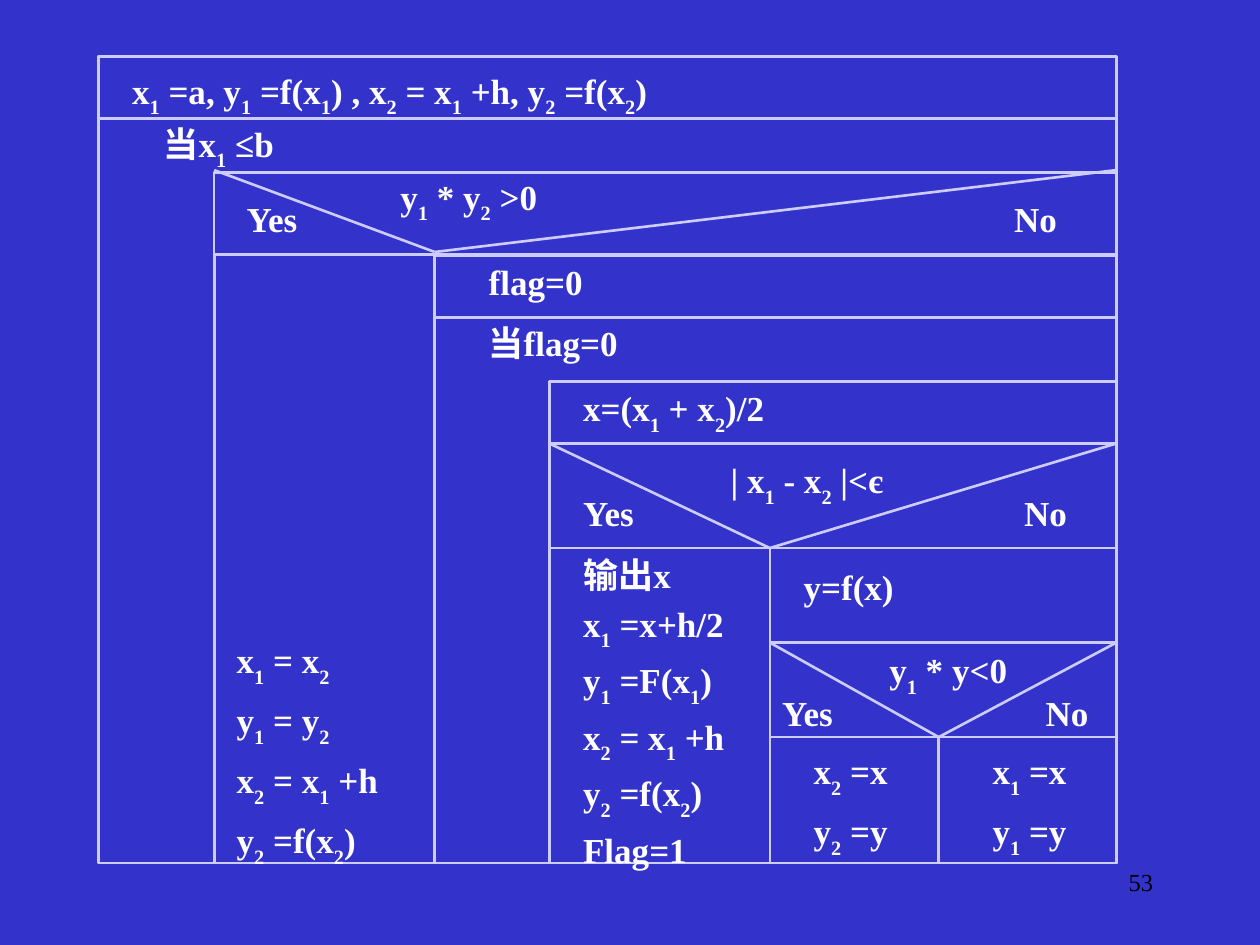
from collections import namedtuple

from lxml.etree import SubElement
from pptx import Presentation
from pptx.dml.color import RGBColor
from pptx.enum.shapes import MSO_CONNECTOR, MSO_SHAPE
from pptx.enum.text import MSO_AUTO_SIZE, PP_ALIGN
from pptx.oxml.ns import qn
from pptx.util import Inches, Pt

COLORS = {"background": "3333CC", "line": "CCCCFF", "text": "FFFFFF", "number": "000000"}
FONT = "Times New Roman"
LINE_WIDTH = Pt(1.5)
LABEL_HEIGHT = 0.43

Box = namedtuple("Box", "left top width height")


def color(name):
    return RGBColor.from_string(COLORS[name])


def add_frame(slide, box):
    shape = slide.shapes.add_shape(MSO_SHAPE.RECTANGLE, *map(Inches, box))
    shape.shadow.inherit = False
    shape.fill.background()
    shape.line.color.rgb = color("line")
    shape.line.width = LINE_WIDTH


def add_line(slide, start, end):
    line = slide.shapes.add_connector(MSO_CONNECTOR.STRAIGHT, *map(Inches, start + end))
    line.line.color.rgb = color("line")
    line.line.width = LINE_WIDTH
    SubElement(line._element.spPr, qn("a:effectLst"))


def add_runs(paragraph, text):
    """Write text in which an underscore makes the next character a subscript."""
    first, *rest = text.split("_")
    pieces = [(first, False)]
    for part in rest:
        pieces += [(part[0], True), (part[1:], False)]
    for piece, lowered in pieces:
        if piece:
            run = paragraph.add_run()
            run.text = piece
            if lowered:
                run._r.get_or_add_rPr().set("baseline", "-30000")


def add_text(slide, box, lines, gap=0):
    """Place lines of white bold text, with gap points between them."""
    frame = slide.shapes.add_textbox(*map(Inches, box)).text_frame
    frame.word_wrap = True
    frame.auto_size = MSO_AUTO_SIZE.SHAPE_TO_FIT_TEXT
    for index, text in enumerate(lines):
        paragraph = frame.add_paragraph() if index else frame.paragraphs[0]
        add_runs(paragraph, text)
        if index:
            paragraph.space_before = Pt(gap)
        paragraph.font.name = FONT
        paragraph.font.size = Pt(20)
        paragraph.font.bold = True
        paragraph.font.color.rgb = color("text")


def add_label(slide, box, dx, dy, width, text):
    add_text(slide, Box(box.left + dx, box.top + dy, width, LABEL_HEIGHT), [text])


def add_fork(slide, box, split):
    """Draw the two slanted lines that meet on the bottom edge at split."""
    right = box.left + box.width
    meeting = (box.left + split, box.top + box.height)
    add_line(slide, (box.left, box.top), meeting)
    add_line(slide, meeting, (right, box.top))


def add_outer_loop(slide, box):
    add_frame(slide, box)
    add_frame(slide, box._replace(height=0.49))
    add_label(slide, box, 0.17, 0.05, 4.58,
              "x_1 =a, y_1 =f(x_1) , x_2 = x_1 +h, y_2 =f(x_2)")
    add_label(slide, box, 0.42, 0.47, 2.53, "当x_1 ≤b")


def add_sign_test(slide, box, split, bottom):
    """Draw the first test and the column of its Yes branch down to bottom."""
    add_frame(slide, box)
    add_fork(slide, box._replace(top=box.top - 0.02), split)
    add_label(slide, box, 1.38, -0.03, 1.92, "y_1 * y_2 >0")
    add_label(slide, box, 0.16, 0.15, 0.83, "Yes")
    add_label(slide, box, 6.25, 0.15, 0.92, "No")
    top = box.top + box.height
    add_frame(slide, Box(box.left, top, split, bottom - top))
    add_text(slide, Box(box.left + 0.08, top + 3, 1.58, 1.74),
             ["x_1 = x_2", "y_1 = y_2", "x_2 = x_1 +h", "y_2 =f(x_2)"], gap=6)


def add_flag_loop(slide, box):
    add_frame(slide, box._replace(height=0.49))
    add_frame(slide, box._replace(top=box.top + 0.49, height=box.height - 0.49))
    add_label(slide, box, 0.33, -0.01, 1.92, "flag=0")
    add_label(slide, box, 0.33, 0.47, 1.58, "当flag=0")


def add_bisection(slide, box, split):
    """Draw the midpoint step, the accuracy test and its Yes branch."""
    step = box._replace(height=0.49)
    test = box._replace(top=box.top + 0.49, height=0.83)
    branch_top = test.top + test.height
    right, bottom = box.left + box.width, box.top + box.height
    add_frame(slide, step)
    add_label(slide, step, 0.17, -0.01, 2.53, "x=(x_1 + x_2)/2")
    add_frame(slide, box._replace(top=test.top, height=box.height - 0.49))
    add_fork(slide, test, split)
    add_label(slide, test, 1.34, 0.07, 1.58, "| x_1 - x_2 |<є")
    add_label(slide, test, 0.17, 0.33, 1, "Yes")
    add_label(slide, test, 3.67, 0.33, 0.83, "No")
    add_line(slide, (box.left, branch_top), (right, branch_top))
    add_line(slide, (box.left + split, branch_top), (box.left + split, bottom))
    add_text(slide, Box(box.left + 0.17, branch_top - 0.01, 1.5, 2.43),
             ["输出x", "x_1 =x+h/2", "y_1 =F(x_1)", "x_2 = x_1 +h",
              "y_2 =f(x_2)", "Flag=1"], gap=4)


def add_root_side(slide, box, split):
    """Draw the value step, the test for the side of the root and both branches."""
    test = box._replace(top=box.top + 0.75, height=0.75)
    branch_top = test.top + test.height
    right, bottom = box.left + box.width, box.top + box.height
    add_label(slide, box, 0.17, 0.09, 1.42, "y=f(x)")
    for y in (test.top, branch_top):
        add_line(slide, (box.left, y), (right, y))
    add_fork(slide, test, split)
    add_label(slide, test, 0.85, 0, 1.32, "y_1 * y<0")
    add_label(slide, test, 0, 0.34, 0.96, "Yes")
    add_label(slide, test, 2.09, 0.34, 0.6, "No")
    add_line(slide, (box.left + split, branch_top), (box.left + split, bottom))
    for dx, end in ((0.25, "2"), (1.67, "1")):
        add_text(slide, Box(box.left + dx, branch_top + 0.05, 1, 0.87),
                 [f"x_{end} =x", f"y_{end} =y"], gap=6)


def add_slide_number(slide, box, number):
    frame = slide.shapes.add_textbox(*map(Inches, box)).text_frame
    frame.word_wrap = True
    paragraph = frame.paragraphs[0]
    paragraph.text = number
    paragraph.alignment = PP_ALIGN.RIGHT
    paragraph.font.name = FONT
    paragraph.font.size = Pt(14)
    paragraph.font.color.rgb = color("number")


def main():
    presentation = Presentation()
    presentation.slide_width = Inches(10)
    presentation.slide_height = Inches(7.5)
    slide = presentation.slides.add_slide(presentation.slide_layouts[6])
    slide.background.fill.solid()
    slide.background.fill.fore_color.rgb = color("background")

    right, bottom = 8.86, 6.85

    def nested(left, top):
        """Give the box from a corner to the bottom right of the chart."""
        return Box(left, top, right - left, bottom - top)

    add_outer_loop(slide, nested(0.78, 0.45))
    add_sign_test(slide, nested(1.7, 1.37)._replace(height=0.65), 1.75, bottom)
    add_flag_loop(slide, nested(3.45, 2.03))
    add_bisection(slide, nested(4.36, 3.03), 1.75)
    add_root_side(slide, nested(6.11, 4.35), 1.34)
    add_slide_number(slide, Box(7.17, 6.83, 2.08, 0.5), "53")
    presentation.save("out.pptx")


if __name__ == "__main__":
    main()
